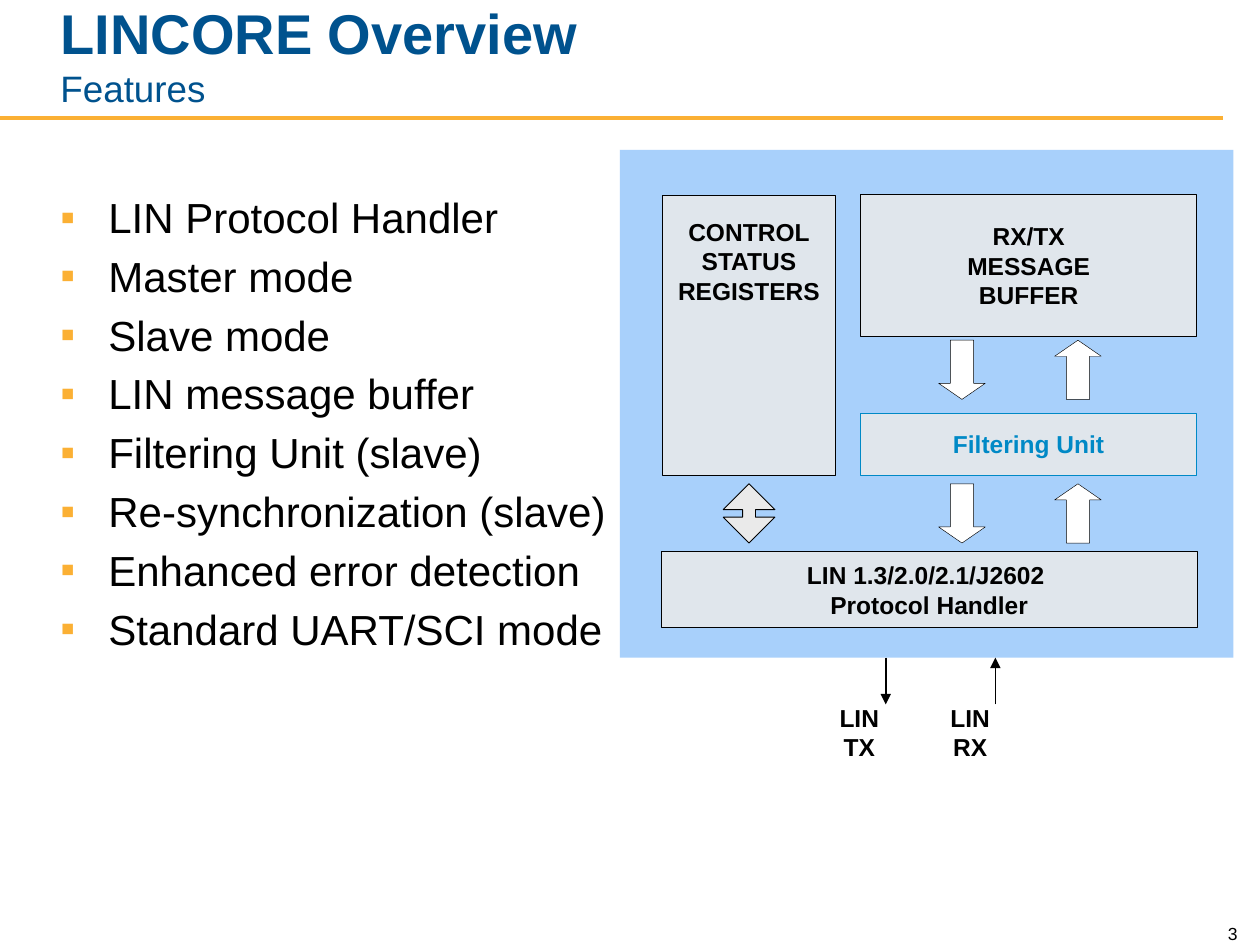
from lxml.etree import SubElement
from pptx import Presentation
from pptx.dml.color import RGBColor
from pptx.enum.shapes import MSO_CONNECTOR, MSO_SHAPE
from pptx.enum.text import MSO_ANCHOR, MSO_AUTO_SIZE, PP_ALIGN
from pptx.oxml.ns import qn
from pptx.util import Inches, Pt

FEATURES = [
    "LIN Protocol Handler",
    "Master mode",
    "Slave mode",
    "LIN message buffer",
    "Filtering Unit (slave)",
    "Re-synchronization (slave)",
    "Enhanced error detection",
    "Standard UART/SCI mode",
]


def rgb(color):
    return RGBColor.from_string(color)


def place(shape, x, y, w, h):
    shape.left, shape.top = Inches(x), Inches(y)
    shape.width, shape.height = Inches(w), Inches(h)


def style(run, size, color="000000", bold=False):
    run.font.name = "Arial"
    run.font.size = Pt(size)
    run.font.bold = bold
    run.font.color.rgb = rgb(color)


def write(shape, text, size, color="000000", bold=True, align=PP_ALIGN.CENTER):
    frame = shape.text_frame
    frame.text = text
    for para in frame.paragraphs:
        para.alignment = align
        for run in para.runs:
            style(run, size, color, bold)
    return frame


def paint(shape, fill, alpha=100, line=None, width=0.5):
    shape.shadow.inherit = False
    shape.fill.solid()
    shape.fill.fore_color.rgb = rgb(fill)
    if alpha < 100:
        tint = shape.fill._xPr.find(qn("a:solidFill"))[0]
        SubElement(tint, qn("a:alpha"), val=str(alpha * 1000))
    if line:
        shape.line.color.rgb = rgb(line)
        shape.line.width = Pt(width)
    else:
        shape.line.fill.background()


def rule(slide, x1, y1, x2, y2, color, width, arrow=False):
    line = slide.shapes.add_connector(
        MSO_CONNECTOR.STRAIGHT, Inches(x1), Inches(y1), Inches(x2), Inches(y2))
    line.line.color.rgb = rgb(color)
    line.line.width = Pt(width)
    if arrow:
        SubElement(line.line._get_or_add_ln(), qn("a:tailEnd"), type="triangle")
    SubElement(line._element.spPr, qn("a:effectLst"))


def header(slide, x, y, w, h):
    rule(slide, 0, y + h + 0.02, 9.71, y + h + 0.02, "FBB034", 2.25)
    title = slide.shapes.title
    place(title, x, y, w, h)
    frame = write(title, "LINCORE Overview\vFeatures", 32, "00528E",
                  align=PP_ALIGN.LEFT)
    frame.vertical_anchor = MSO_ANCHOR.BOTTOM
    frame.auto_size = MSO_AUTO_SIZE.NONE
    style(frame.paragraphs[0].runs[1], 21, "00528E")


def bullets(slide, x, y, w, h):
    body = slide.placeholders[1]
    place(body, x, y, w, h)
    frame = write(body, "\n".join(FEATURES), 24, bold=False, align=PP_ALIGN.LEFT)
    frame.auto_size = MSO_AUTO_SIZE.NONE
    for para in frame.paragraphs:
        props = para._p.get_or_add_pPr()
        props.set("marL", str(Inches(0.38)))
        props.set("indent", str(Inches(-0.38)))
        SubElement(SubElement(props, qn("a:buClr")), qn("a:srgbClr"), val="FBB034")
        SubElement(props, qn("a:buFont"), typeface="Arial")
        SubElement(props, qn("a:buChar"), char="▪")


def block(slide, x, y, w, h, text, color="000000"):
    shape = slide.shapes.add_shape(
        MSO_SHAPE.RECTANGLE, Inches(x), Inches(y), Inches(w), Inches(h))
    paint(shape, "EAEAEA", 85, color)
    frame = write(shape, text, 14, color)
    frame.word_wrap = False
    frame.vertical_anchor = MSO_ANCHOR.MIDDLE
    return frame


def arrow(slide, kind, x, y, w, tip, fill="FFFFFF", width=0.25, turn=0):
    shape = slide.shapes.add_shape(
        kind, Inches(x), Inches(y), Inches(w), Inches(0.47))
    shape.adjustments[0] = 0.5
    shape.adjustments[1] = tip
    shape.rotation = turn
    paint(shape, fill, line="000000", width=width)


def label(slide, x, y, w, h, text, size, bold=True, align=PP_ALIGN.CENTER):
    box = slide.shapes.add_textbox(Inches(x), Inches(y), Inches(w), Inches(h))
    frame = write(box, text, size, bold=bold, align=align)
    frame.word_wrap = False
    return frame


def diagram(slide, x, y, w, h):
    panel = slide.shapes.add_shape(
        MSO_SHAPE.RECTANGLE, Inches(x), Inches(y), Inches(w), Inches(h))
    paint(panel, "7AB7FA", 65)

    regs = block(slide, x + 0.34, y + 0.36, 1.37, 2.22,
                 "CONTROL\vSTATUS\vREGISTERS")
    regs.vertical_anchor = MSO_ANCHOR.TOP
    regs.margin_top = Inches(0.17)
    block(slide, x + 1.91, y + 0.35, 2.67, 1.13, "RX/TX\nMESSAGE\nBUFFER")
    block(slide, x + 1.91, y + 2.09, 2.67, 0.49, "Filtering Unit", "0089C6")
    block(slide, x + 0.33, y + 3.19, 4.25, 0.6,
          "LIN 1.3/2.0/2.1/J2602 \vProtocol Handler")

    arrow(slide, MSO_SHAPE.UP_DOWN_ARROW, x + 0.82, y + 2.65, 0.41, 0.249,
          "EAEAEA", 0.5)
    for top in (1.51, 2.65):
        for left, turn in ((2.53, 0), (3.45, 180)):
            arrow(slide, MSO_SHAPE.DOWN_ARROW, x + left, y + top, 0.37, 0.344,
                  turn=turn)

    edge, end = y + h, y + h + 0.37
    rule(slide, x + 2.11, edge, x + 2.11, end, "000000", 1, True)
    rule(slide, x + 2.98, end, x + 2.98, edge, "000000", 1, True)
    for left, text in ((1.64, "LIN\vTX"), (2.52, "LIN\vRX")):
        label(slide, x + left, edge + 0.31, 0.52, 0.57, text, 14)


def footer(slide, x, y, w, h):
    frame = label(slide, x, y, w, h, "3", 10, False, PP_ALIGN.RIGHT)
    frame.word_wrap = True
    frame.vertical_anchor = MSO_ANCHOR.BOTTOM


def main():
    deck = Presentation()
    deck.slide_width, deck.slide_height = Inches(10), Inches(7.5)
    slide = deck.slides.add_slide(deck.slide_layouts[1])
    header(slide, 0.38, 0.17, 8.17, 0.75)
    bullets(slide, 0.38, 1.47, 4.7, 5.38)
    diagram(slide, 4.92, 1.19, 4.87, 4.03)
    footer(slide, 9.42, 7.24, 0.5, 0.3)
    deck.save("out.pptx")


if __name__ == "__main__":
    main()
